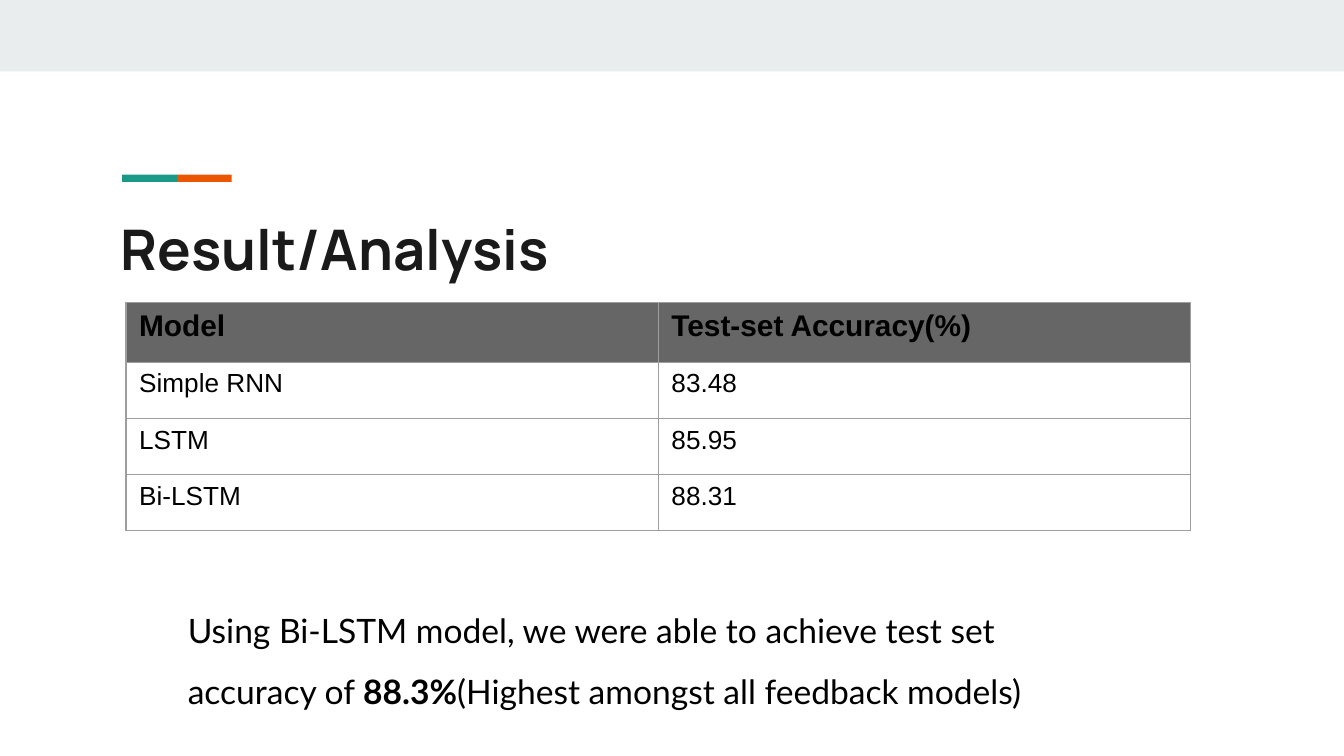
import dataclasses

import pptx
import pptx.dml.color
import pptx.enum.shapes
import pptx.oxml
import pptx.oxml.ns
import pptx.util

Cm = pptx.util.Cm
Pt = pptx.util.Pt
RGB = pptx.dml.color.RGBColor.from_string


@dataclasses.dataclass(frozen=True)
class Theme:
    band: str = "E9EDEE"
    teal: str = "1A9988"
    orange: str = "EB5600"
    title: str = "1A1A1A"
    text: str = "000000"
    header: str = "666666"
    border: str = "9E9E9E"
    title_size: int = 30
    body_size: int = 18
    header_size: int = 16
    cell_size: int = 14


theme = Theme()


def add_text(p, text, font="Arial", size=theme.cell_size, color=theme.text, bold=False):
    r = p.add_run()
    r.text = text
    r.font.name = font
    r.font.size = Pt(size)
    r.font.bold = bold
    r.font.color.rgb = RGB(color)


def add_box(s, left, top, width, height):
    tf = s.shapes.add_textbox(Cm(left), Cm(top), Cm(width), Cm(height)).text_frame
    tf.word_wrap = True
    tf.margin_left = tf.margin_right = tf.margin_top = tf.margin_bottom = Cm(0.25)
    return tf.paragraphs[0]


prs = pptx.Presentation()
prs.slide_width = Cm(25.4)
prs.slide_height = Cm(14.29)
s = prs.slides.add_slide(prs.slide_layouts[6])

for left, top, width, height, color in [
    (0, 0, 25.4, 1.35, theme.band),
    (3.34, 3.3, 1.04, 0.14, theme.orange),
    (2.31, 3.3, 1.04, 0.14, theme.teal),
]:
    sp = s.shapes.add_shape(
        pptx.enum.shapes.MSO_SHAPE.RECTANGLE, Cm(left), Cm(top), Cm(width), Cm(height)
    )
    sp.shadow.inherit = False
    sp.fill.solid()
    sp.fill.fore_color.rgb = RGB(color)
    sp.line.fill.background()

p = add_box(s, 2.03, 3.81, 21.36, 1.5)
add_text(p, "Result/Analysis", font="Manrope", size=theme.title_size, color=theme.title, bold=True)

p = add_box(s, 2.03, 10.9, 19.35, 2.77)
p.line_spacing = 1.5
p.space_after = Pt(16)
pPr = p._p.get_or_add_pPr()
pPr.set("marL", str(Cm(1.27)))
pPr.set("indent", "0")
for text, bold in [
    ("Using Bi-LSTM model, we were able to achieve test set accuracy of ", False),
    ("88.3%", True),
    ("(Highest amongst all feedback models)", False),
]:
    add_text(p, text, font="Lato", size=theme.body_size, bold=bold)

rows = [
    ("Model", "Test-set Accuracy(%)"),
    ("Simple RNN", "83.48"),
    ("LSTM", "85.95"),
    ("Bi-LSTM", "88.31"),
]
table = s.shapes.add_table(len(rows), 2, Cm(2.38), Cm(5.72), Cm(20.12), Cm(4.33)).table
table.first_row = False
table.horz_banding = False
for column in table.columns:
    column.width = Cm(10.06)

for i, row in enumerate(rows):
    header = i == 0
    table.rows[i].height = Cm(1.13 if header else 1.06)
    for j, text in enumerate(row):
        cell = table.cell(i, j)
        cell.margin_left = cell.margin_right = Cm(0.25)
        cell.margin_top = cell.margin_bottom = Cm(0.13)
        tcPr = cell._tc.get_or_add_tcPr()
        for side in ("lnL", "lnR", "lnT", "lnB"):
            tcPr.append(pptx.oxml.parse_xml(
                f'<a:{side} {pptx.oxml.ns.nsdecls("a")} w="{Pt(0.75)}"><a:solidFill>'
                f'<a:srgbClr val="{theme.border}"/></a:solidFill></a:{side}>'
            ))
        if header:
            cell.fill.solid()
            cell.fill.fore_color.rgb = RGB(theme.header)
        else:
            cell.fill.background()
        size = theme.header_size if header else theme.cell_size
        add_text(cell.text_frame.paragraphs[0], text, size=size, bold=header)

prs.save("out.pptx")
